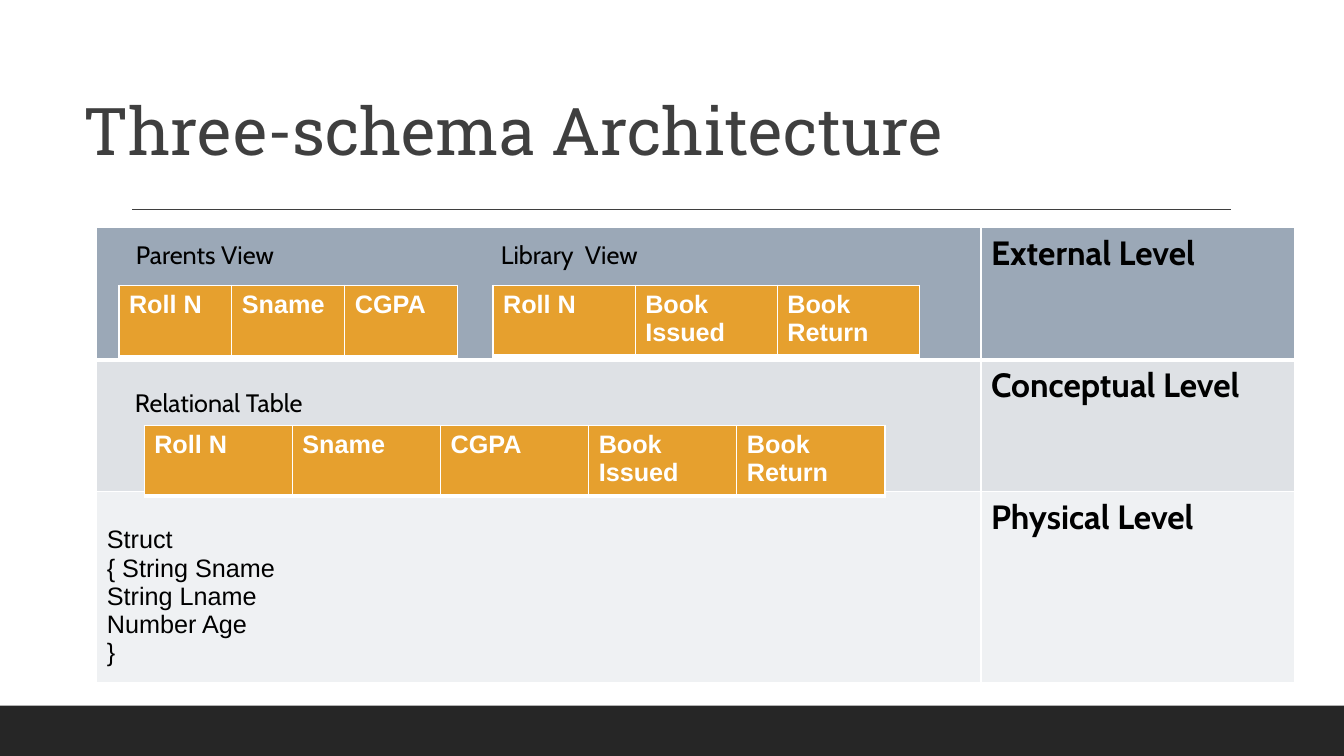
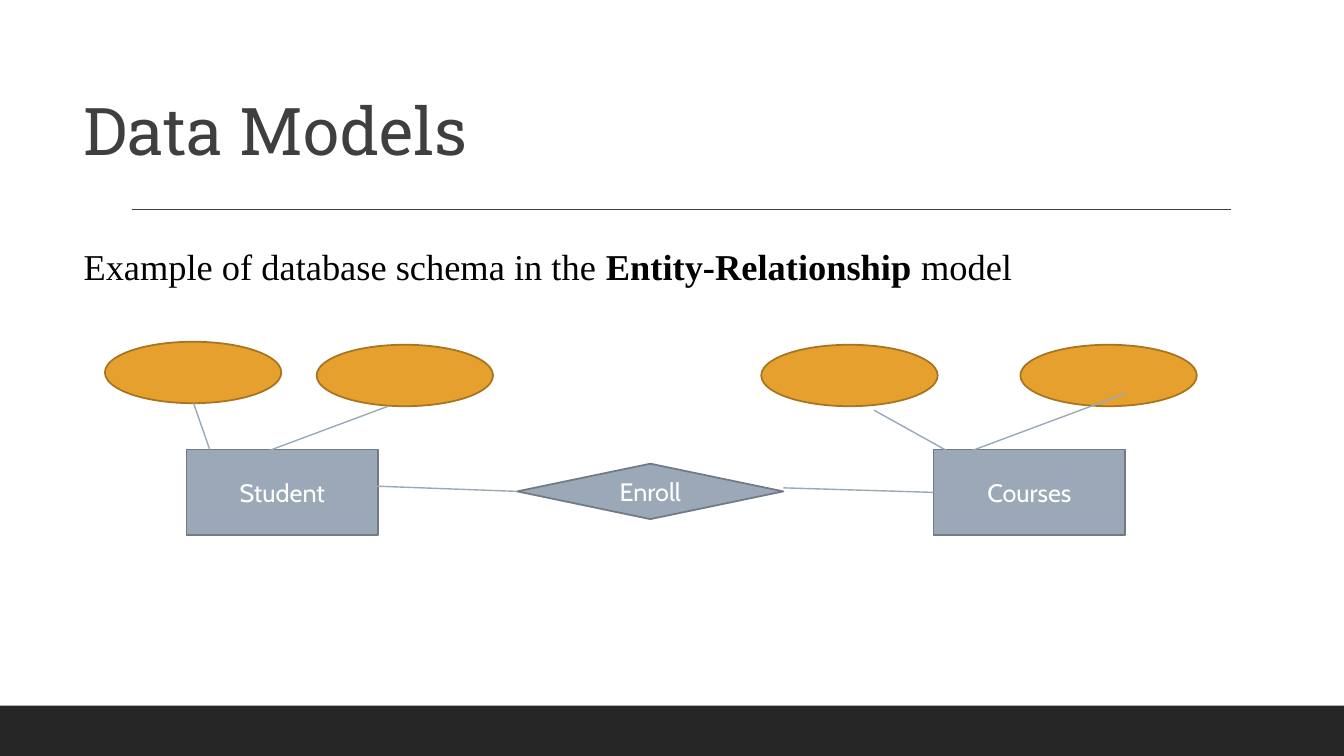
from lxml.etree import SubElement
from pptx import Presentation
from pptx.dml.color import RGBColor
from pptx.enum.shapes import MSO_CONNECTOR, MSO_SHAPE
from pptx.enum.text import MSO_ANCHOR, PP_ALIGN
from pptx.oxml.ns import qn
from pptx.util import Pt

PX = 9144

WHITE = RGBColor(0xFF, 0xFF, 0xFF)
BLACK = RGBColor(0x00, 0x00, 0x00)
CHARCOAL = RGBColor(0x26, 0x26, 0x26)
GRAY = RGBColor(0x3F, 0x3F, 0x3F)
SLATE = RGBColor(0x9B, 0xA8, 0xB7)
SLATE_DARK = RGBColor(0x71, 0x7A, 0x85)
SLATE_LIGHT = RGBColor(0xDE, 0xE1, 0xE5)
SLATE_PALE = RGBColor(0xEF, 0xF1, 0xF3)
ORANGE = RGBColor(0xE6, 0xA0, 0x2E)
ORANGE_DARK = RGBColor(0xA7, 0x74, 0x21)

TITLE_FONT = "Roboto Slab"
LABEL_FONT = "Cabin"
TABLE_FONT = "Arial"
BODY_FONT = "Times New Roman"


class SlideBuilder:
    def __init__(self, deck):
        self.deck = deck
        self.slide = None

    def emu(self, *lengths):
        return [length * PX for length in lengths]

    def new_slide(self, title):
        self.slide = self.deck.slides.add_slide(self.deck.slide_layouts[6])
        self.shape(MSO_SHAPE.RECTANGLE, 0, 700, 1333, 50, CHARCOAL)
        self.line((131, 208), (1221, 208), GRAY)
        heading = self.text(73, 14, 1100, 159, [title], 47, TITLE_FONT, GRAY, spacing=0.9)
        heading.text_frame.vertical_anchor = MSO_ANCHOR.BOTTOM

    def style(self, frame, size, font, color, bold=False):
        for para in frame.paragraphs:
            for span in para.runs:
                span.font.size = Pt(size)
                span.font.name = font
                span.font.color.rgb = color
                span.font.bold = bold

    def text(self, left, top, width, height, pieces, size, font, color, spacing=1.0):
        box = self.slide.shapes.add_textbox(*self.emu(left, top, width, height))
        frame = box.text_frame
        frame.word_wrap = True
        para = frame.paragraphs[0]
        para.line_spacing = spacing
        for piece in pieces:
            para.add_run().text = piece
        self.style(frame, size, font, color)
        return box

    def label(self, left, top, width, words):
        return self.text(left, top, width, 40, [words], 18, LABEL_FONT, BLACK)

    def shape(self, kind, left, top, width, height, fill, outline=None, words=""):
        shape = self.slide.shapes.add_shape(kind, *self.emu(left, top, width, height))
        shape.shadow.inherit = False
        shape.fill.solid()
        shape.fill.fore_color.rgb = fill
        if outline is None:
            shape.line.fill.background()
        else:
            shape.line.color.rgb = outline
            shape.line.width = Pt(1.25)
        if words:
            frame = shape.text_frame
            frame.text = words
            frame.vertical_anchor = MSO_ANCHOR.MIDDLE
            frame.paragraphs[0].alignment = PP_ALIGN.CENTER
            self.style(frame, 18, LABEL_FONT, WHITE)
        return shape

    def line(self, start, end, color):
        line = self.slide.shapes.add_connector(MSO_CONNECTOR.STRAIGHT, *self.emu(*start, *end))
        line.line.color.rgb = color
        line.line.width = Pt(1)
        SubElement(line.element.spPr, qn("a:effectLst"))
        return line

    def borders(self, cell, top, bottom):
        properties = cell._tc.get_or_add_tcPr()
        for side, points in (("L", 1), ("R", 1), ("T", top), ("B", bottom)):
            edge = SubElement(properties, qn(f"a:ln{side}"), w=str(Pt(points)))
            SubElement(SubElement(edge, qn("a:solidFill")), qn("a:srgbClr"), val=str(WHITE))

    def table(self, left, top, widths, heights, texts, fills):
        frame = self.slide.shapes.add_table(
            len(heights), len(widths), *self.emu(left, top, sum(widths), sum(heights)))
        table = frame.table
        table.first_row = False
        table.horz_banding = False
        for column, width in zip(table.columns, widths):
            column.width = width * PX
        for index, (row, height) in enumerate(zip(table.rows, heights)):
            row.height = height * PX
            for cell, words in zip(row.cells, texts[index]):
                self.borders(cell, 3 if index == 1 else 1, 3 if index == 0 else 1)
                cell.fill.solid()
                cell.fill.fore_color.rgb = fills[index]
                cell.text_frame.text = words
        return table

    def record(self, left, top, column_width, height, fields):
        table = self.table(left, top, [column_width] * len(fields), [height], [fields], [ORANGE])
        for cell in table.iter_cells():
            self.style(cell.text_frame, 18, TABLE_FONT, WHITE, bold=True)


def architecture_slide(builder):
    builder.new_slide("Three-schema Architecture")
    struct = "Struct\n{ String Sname\nString Lname\nNumber Age\n}"
    levels = builder.table(
        96, 226, [877, 311], [131, 131, 178],
        [["", "External Level"], ["", "Conceptual Level"], [struct, "Physical Level"]],
        [SLATE, SLATE_LIGHT, SLATE_PALE])
    for row in levels.rows:
        builder.style(row.cells[1].text_frame, 24, LABEL_FONT, BLACK, bold=True)
    struct_cell = levels.cell(2, 0)
    struct_cell.margin_top = 34 * PX
    builder.style(struct_cell.text_frame, 18, TABLE_FONT, BLACK)

    student = ["Roll N", "Sname", "CGPA"]
    loan = ["Book Issued", "Book\nReturn"]
    builder.record(143, 422, 147, 65, student + loan)
    builder.record(118, 283, 112, 71, student)
    builder.record(489, 283, 141, 66, student[:1] + loan)
    builder.label(125, 233, 187, "Parents View")
    builder.label(487, 233, 187, "Library  View")
    builder.label(124, 379, 267, "Relational Table")


def models_slide(builder):
    builder.new_slide("Data Models")
    intro = builder.text(
        73, 246, 1111, 45,
        ["Example of database schema in the ", "Entity-Relationship", " model"],
        26, BODY_FONT, BLACK, spacing=0.8)
    intro.text_frame.paragraphs[0].runs[1].font.bold = True

    student, courses = [
        builder.shape(MSO_SHAPE.RECTANGLE, left, 446, 190, 85, SLATE, SLATE_DARK, words)
        for left, words in ((185, "Student"), (926, "Courses"))]
    for left, top in ((104, 339), (314, 342), (755, 342), (1012, 342)):
        builder.shape(MSO_SHAPE.OVAL, left, top, 175, 61, ORANGE, ORANGE_DARK)
    enroll = builder.shape(MSO_SHAPE.DIAMOND, 513, 460, 264, 55, SLATE, SLATE_DARK, "Enroll")

    for start, end in (
            ((192, 400), (208, 446)),
            ((385, 403), (224, 463)),
            ((1117, 390), (956, 450)),
            ((867, 407), (973, 466))):
        builder.line(start, end, SLATE)
    builder.line((926, 489), (777, 484), SLATE).begin_connect(courses, 1)
    builder.line((513, 487), (364, 482), SLATE).begin_connect(enroll, 1)


def main():
    deck = Presentation()
    deck.slide_width = 1333 * PX
    deck.slide_height = 750 * PX
    builder = SlideBuilder(deck)
    architecture_slide(builder)
    models_slide(builder)
    deck.save("out.pptx")


if __name__ == "__main__":
    main()
